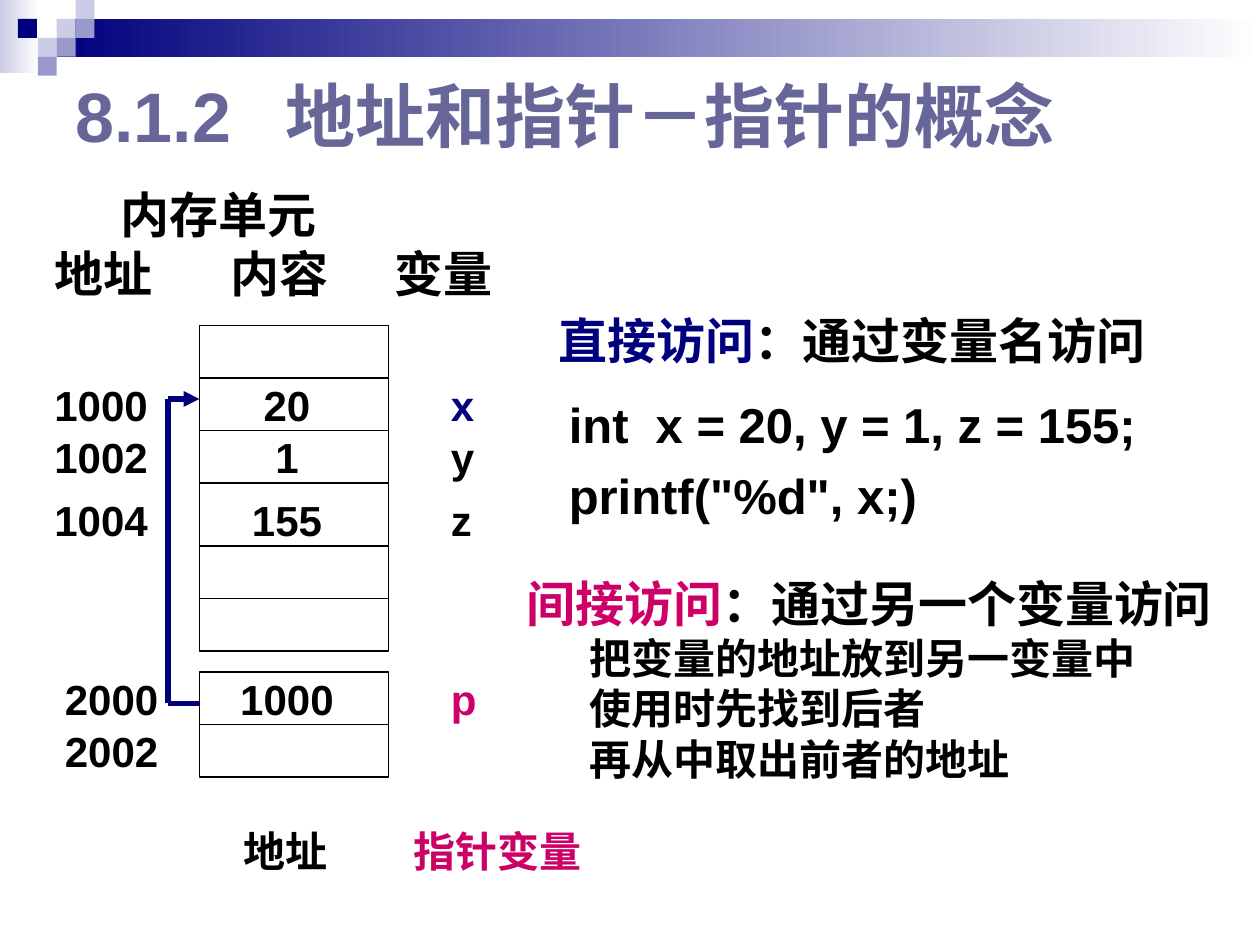
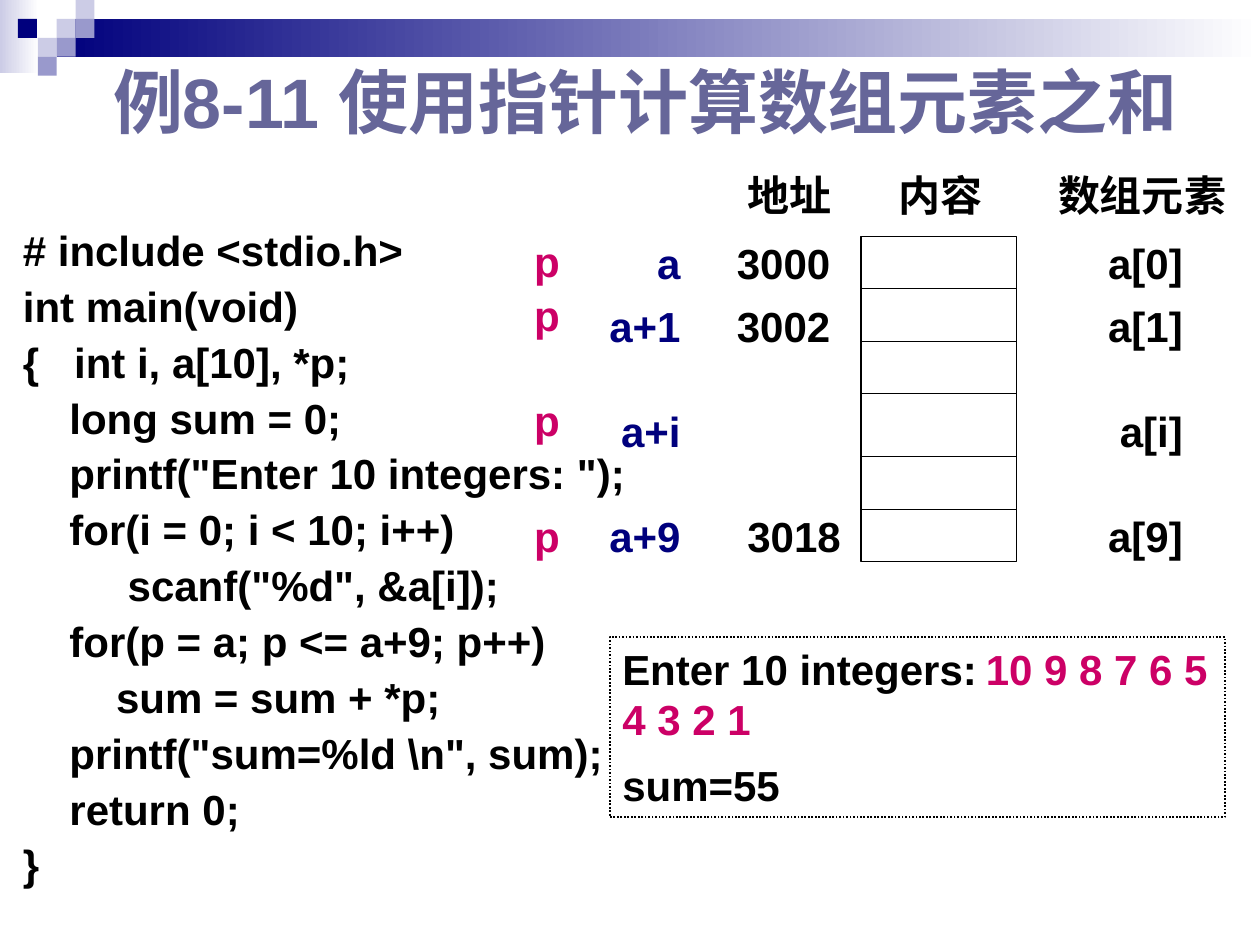
from dataclasses import dataclass

from lxml import etree
from pptx import Presentation
from pptx import util as u
from pptx.dml.color import RGBColor
from pptx.enum import dml, shapes, text
from pptx.oxml.ns import qn

Pt = u.Pt
BLACK, NAVY, PINK = "000000", "00007D", "CC0066"
LAVENDER, LILAC, TITLE = "CCCCE6", "9999CC", "666699"
ARIAL, TIMES, CJK = "Arial", "Times New Roman", "Noto Sans CJK SC"
ALIGN, ANCHOR = text.PP_ALIGN, text.MSO_ANCHOR
CELL_EDGES = [30, 60, 90, 126, 156]
ROW = 30
SQUARE = 10.8


@dataclass
class Run:
    words: str
    color: str = BLACK
    size: float = 24
    font: str = ARIAL


@dataclass
class Para:
    runs: list
    align: object = ALIGN.LEFT
    tab: float = 0
    left: float = 0
    hanging: float = 0
    before: float = 0
    spacing: float = 1


def rgb(hex_color):
    return RGBColor.from_string(hex_color)


def write_run(paragraph, part):
    run = paragraph.add_run()
    run.text = part.words
    run.font.name = part.font
    run.font.size = Pt(part.size)
    run.font.bold = True
    run.font.color.rgb = rgb(part.color)
    east_asian = etree.SubElement(run.font._element, qn("a:ea"))
    east_asian.set("typeface", CJK)


def write_paragraph(paragraph, content):
    props = paragraph._p.get_or_add_pPr()
    if content.left:
        props.set("marL", str(Pt(content.left)))
        props.set("indent", str(Pt(-content.hanging)))
    if content.tab:
        stops = etree.SubElement(props, qn("a:tabLst"))
        etree.SubElement(stops, qn("a:tab"), pos=str(Pt(content.tab)), algn="l")
    paragraph.alignment = content.align
    paragraph.line_spacing = content.spacing
    paragraph.space_before = Pt(content.before)
    for part in content.runs:
        write_run(paragraph, part)


def write(frame, paragraphs, anchor):
    frame.word_wrap = True
    frame.vertical_anchor = anchor
    frame.margin_left = frame.margin_right = Pt(7.2)
    frame.margin_top = frame.margin_bottom = Pt(3.6)
    for number, content in enumerate(paragraphs):
        paragraph = frame.add_paragraph() if number else frame.paragraphs[0]
        write_paragraph(paragraph, content)


def add_text(slide, place, *paragraphs, anchor=ANCHOR.MIDDLE):
    box = slide.shapes.add_textbox(*map(Pt, place))
    write(box.text_frame, paragraphs, anchor)


def add_label(slide, place, words, color=BLACK, align=ALIGN.LEFT, size=24, font=ARIAL):
    add_text(slide, place, Para([Run(words, color, size, font)], align))


def add_box(slide, place, fill=None, line=None, width=0.75):
    box = slide.shapes.add_shape(shapes.MSO_SHAPE.RECTANGLE, *map(Pt, place))
    box.shadow.inherit = False
    if fill:
        box.fill.solid()
        box.fill.fore_color.rgb = rgb(fill)
    else:
        box.fill.background()
    if line:
        box.line.color.rgb = rgb(line)
        box.line.width = Pt(width)
    else:
        box.line.fill.background()
    return box


def add_fade(slide, place, color):
    band = add_box(slide, place)
    band.fill.gradient()
    band.fill.gradient_angle = 0
    for stop, shade in zip(band.fill.gradient_stops, (color, "FFFFFF")):
        stop.color.rgb = rgb(shade)


def add_line(slide, start, end, color=BLACK, width=0.75, arrow=False):
    line = slide.shapes.add_connector(
        shapes.MSO_CONNECTOR.STRAIGHT, *map(Pt, start + end))
    line.line.color.rgb = rgb(color)
    line.line.width = Pt(width)
    if arrow:
        etree.SubElement(line.line._get_or_add_ln(), qn("a:tailEnd"), type="triangle")
    etree.SubElement(line._element.spPr, qn("a:effectLst"))


def add_memory(slide, left, top, width, height, edges):
    add_box(slide, (left, top, width, height), line=BLACK)
    for edge in edges:
        add_line(slide, (left, top + edge), (left + width, top + edge))


def add_header_band(slide):
    add_fade(slide, (0, 0, 22.2, 42), LAVENDER)
    add_fade(slide, (32.4, SQUARE, 687.6, 21.6), NAVY)
    squares = [(3, 1, LAVENDER), (4, 0, LAVENDER), (4, 1, LILAC), (2, 2, LAVENDER),
               (0.95, 1, NAVY), (3, 2, LILAC), (2, 3, LILAC)]
    for column, row, color in squares:
        add_box(slide, (column * SQUARE, row * SQUARE, SQUARE, SQUARE), color)


def add_title(slide, place, words, anchor, **layout):
    title = Run(words, TITLE, 40)
    add_text(slide, place, Para([title], **layout), anchor=anchor)


def new_slide(deck):
    slide = deck.slides.add_slide(deck.slide_layouts[6])
    add_header_band(slide)
    return slide


def add_memory_diagram(slide):
    headings = [(62, 102, "内存单元", TIMES), (24, 135.5, "地址", TIMES),
                (124.5, 135.5, "内容", TIMES), (218.5, 135.5, "变量", CJK)]
    for left, top, heading, font in headings:
        add_label(slide, (left, top, 130, 41), heading, size=28, font=font)

    add_memory(slide, 114, 186, 108, 186, CELL_EDGES)
    add_memory(slide, 114, 384, 108, 60, CELL_EDGES[:1])
    cells = [(24, 216, "1000", "20", "x", NAVY),
             (24, 246, "1002", "1", "y", BLACK),
             (24, 282, "1004", "155", "z", BLACK),
             (30, 384, "2000", "1000", "p", PINK)]
    for left, top, address, value, variable, color in cells:
        add_label(slide, (left, top, 80, ROW), address)
        add_label(slide, (114, top, 100, ROW), value, align=ALIGN.CENTER)
        add_label(slide, (250.5, top, 40, ROW), variable, color)
    add_label(slide, (30, 414, 80, ROW), "2002")

    pointer_path = [(114, 402), (96, 402), (96, 228), (114, 228)]
    for start, end in zip(pointer_path, pointer_path[1:]):
        add_line(slide, start, end, NAVY, 3, arrow=end == pointer_path[-1])
    add_label(slide, (132, 468, 80, 36), "地址", font=TIMES)
    add_label(slide, (229, 468, 125, 36), "指针变量", PINK, font=TIMES)


def add_access_notes(slide):
    add_text(slide, (318, 222, 366, 81),
             Para([Run("int  x = 20, y = 1, z = 155;", size=28)]),
             Para([Run('printf("%d", x;)', size=28)], before=7))
    add_text(slide, (312, 174, 360, 41),
             Para([Run("直接访问", NAVY, 28, TIMES),
                   Run("：通过变量名访问", size=28, font=CJK)]))
    steps = ["把变量的地址放到另一变量中", "使用时先找到后者", "再从中取出前者的地址"]
    add_text(slide, (294, 324, 408, 127.4),
             Para([Run("间接访问", PINK, 28, TIMES),
                   Run("：通过另一个变量访问", size=28, font=CJK)]),
             *[Para([Run(step, font=CJK)], left=36) for step in steps])


def add_program(slide):
    program = r'''# include <stdio.h>
int main(void)
{   int i, a[10], *p;
    long sum = 0;
    printf("Enter 10 integers: ");
    for(i = 0; i < 10; i++)
         scanf("%d", &a[i]);
    for(p = a; p <= a+9; p++)
        sum = sum + *p;
    printf("sum=%ld \n", sum);
    return 0;
}'''
    lines = [Para([Run(line)], ALIGN.JUSTIFY, left=27, hanging=27,
                  before=6 if number else 0, spacing=0.9)
             for number, line in enumerate(program.split("\n"))]
    add_text(slide, (6, 128, 371, 397.4), *lines, anchor=ANCHOR.TOP)


def add_program_output(slide):
    screen = add_box(slide, (348.5, 364, 351.4, 103), line=BLACK, width=1)
    screen.line.dash_style = dml.MSO_LINE.ROUND_DOT
    write(screen.text_frame,
          [Para([Run("Enter 10 integers:"), Run(" ", size=18),
                 Run("10 9 8 7 6 5 4 3 2 1", PINK)]),
           Para([Run("sum=55")], before=9)], ANCHOR.TOP)


def add_array_diagram(slide):
    add_memory(slide, 492, 135, 88.8, 186, CELL_EDGES)
    for left, heading in [(420, "地址"), (506.5, "内容"), (597.5, "数组元素")]:
        add_label(slide, (left, 93, 120, 36), heading, font=TIMES)
    elements = [(414, 135, 134, "3000", "a", "a[0]"),
                (414, 171, 165, "3002", "a+1", "a[1]"),
                (None, 231, 225, None, "a+i", "a[i]"),
                (420, 291, 291, "3018", "a+9", "a[9]")]
    for left, top, pointer_top, address, offset, element in elements:
        if address:
            add_label(slide, (left, top, 80, ROW), address)
        add_label(slide, (603, top, 80, ROW), element, align=ALIGN.RIGHT)
        add_label(slide, (324, top, 72, ROW), offset, NAVY, ALIGN.RIGHT)
        add_label(slide, (285, pointer_top, 42, ROW), "p", PINK, ALIGN.RIGHT)


def main():
    deck = Presentation()
    deck.slide_width, deck.slide_height = Pt(720), Pt(540)

    concept = new_slide(deck)
    add_title(concept, (36, 36, 630, 58.5), "8.1.2\t地址和指针－指针的概念",
              ANCHOR.MIDDLE, tab=120)
    add_memory_diagram(concept)
    add_access_notes(concept)

    array_sum = new_slide(deck)
    add_program(array_sum)
    add_title(array_sum, (0, 25, 680, 60), "例8-11 使用指针计算数组元素之和",
              ANCHOR.BOTTOM, align=ALIGN.RIGHT)
    add_program_output(array_sum)
    add_array_diagram(array_sum)

    deck.save("out.pptx")


if __name__ == "__main__":
    main()
